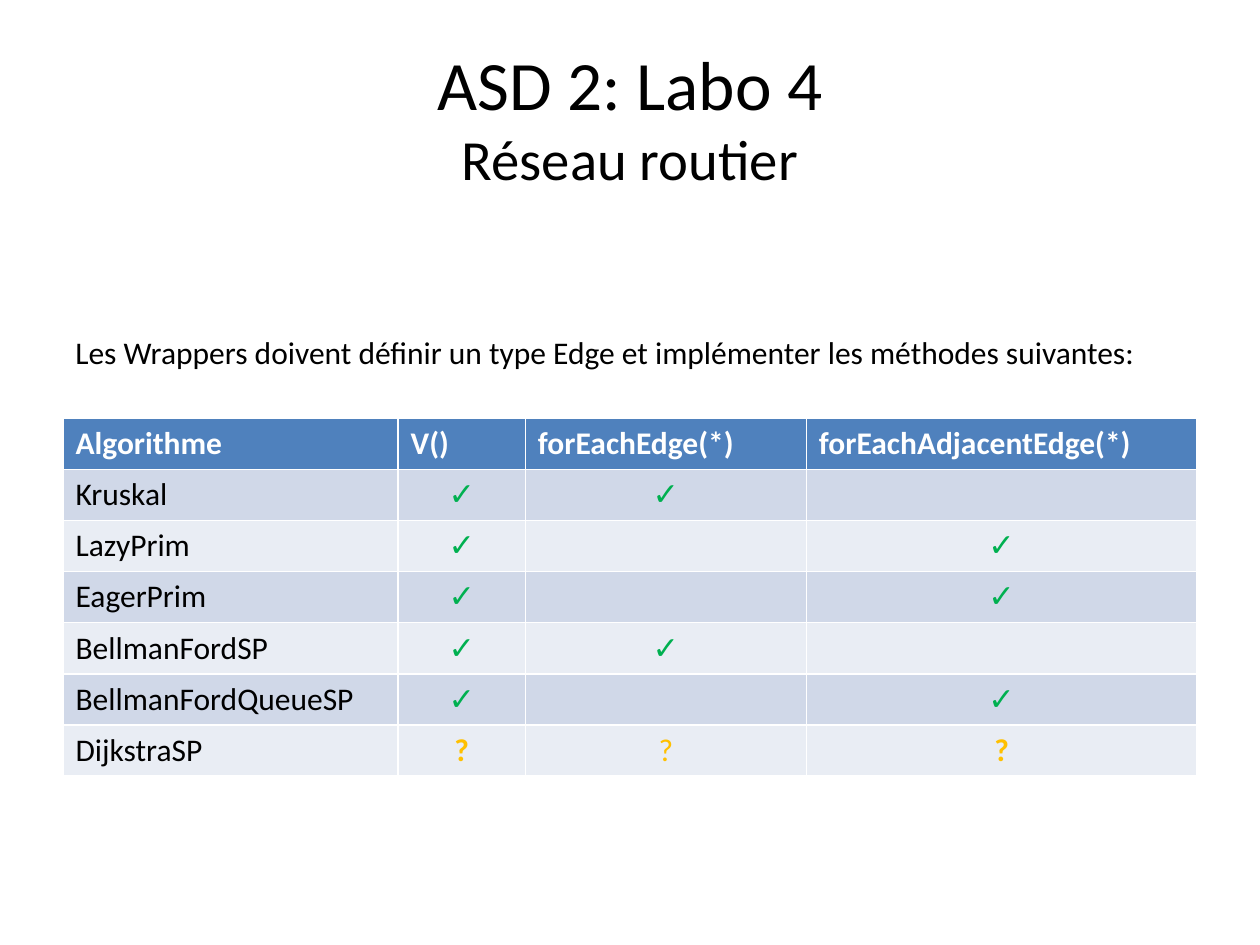
import pptx
import pptx.util
import pptx.dml.color
import pptx.enum.text

Inches = pptx.util.Inches
RGBColor = pptx.dml.color.RGBColor
PP_ALIGN = pptx.enum.text.PP_ALIGN
MSO_ANCHOR = pptx.enum.text.MSO_ANCHOR

BLACK = RGBColor(0x00, 0x00, 0x00)
WHITE = RGBColor(0xFF, 0xFF, 0xFF)
HEADER_BLUE = RGBColor(0x4F, 0x81, 0xBD)
BAND_DARK = RGBColor(0xD0, 0xD8, 0xE8)
BAND_LIGHT = RGBColor(0xE9, 0xED, 0xF4)
GREEN = RGBColor(0x00, 0xB0, 0x50)
AMBER = RGBColor(0xFF, 0xC0, 0x00)


def add_text(p, text, size=18, color=BLACK, bold=False, align=PP_ALIGN.LEFT):
    p.alignment = align
    r = p.add_run()
    r.text = text
    r.font.name = "Calibri"
    r.font.size = pptx.util.Pt(size)
    r.font.bold = bold
    r.font.color.rgb = color


prs = pptx.Presentation()
prs.slide_width, prs.slide_height = Inches(10), Inches(7.5)
s = prs.slides.add_slide(prs.slide_layouts[5])

# Title
title = s.shapes.title
title.left, title.top = Inches(0.5), Inches(0.3)
title.width, title.height = Inches(9), Inches(1.25)
tf = title.text_frame
tf.auto_size = pptx.enum.text.MSO_AUTO_SIZE.NONE
tf.vertical_anchor = MSO_ANCHOR.MIDDLE
p = tf.paragraphs[0]
add_text(p, "ASD 2: Labo 4", size=39.6, align=PP_ALIGN.CENTER)
p.add_line_break()
add_text(p, "Réseau routier", size=32.4, align=PP_ALIGN.CENTER)

# Table of required methods; the default style draws the white borders
header = ["Algorithme", "V()", "forEachEdge(*)", "forEachAdjacentEdge(*)"]
algorithms = [
    ("Kruskal", "✓", "✓", ""),
    ("LazyPrim", "✓", "", "✓"),
    ("EagerPrim", "✓", "", "✓"),
    ("BellmanFordSP", "✓", "✓", ""),
    ("BellmanFordQueueSP", "✓", "", "✓"),
    ("DijkstraSP", "?", "?", "?"),
]
rows = [header] + algorithms
table = s.shapes.add_table(len(rows), len(header), Inches(0.5), Inches(3.32),
                           Inches(9), Inches(2.84)).table
for column, width in zip(table.columns, [2.66, 1.01, 2.23, 3.1]):
    column.width = Inches(width)

for i, row in enumerate(rows):
    for j, text in enumerate(row):
        cell = table.cell(i, j)
        cell.fill.solid()
        if i == 0:
            cell.fill.fore_color.rgb = HEADER_BLUE
        else:
            cell.fill.fore_color.rgb = BAND_DARK if i % 2 else BAND_LIGHT
        p = cell.text_frame.paragraphs[0]
        if not text:
            continue
        if i == 0:
            add_text(p, text, color=WHITE, bold=True)
        elif j == 0:
            add_text(p, text)
        else:
            add_text(p, text, color=GREEN if text == "✓" else AMBER,
                     bold=(text, j) != ("?", 2), align=PP_ALIGN.CENTER)

# Introductory sentence
sp = s.shapes.add_textbox(Inches(0.5), Inches(2.59), Inches(9), Inches(0.4))
tf = sp.text_frame
tf.word_wrap = True
add_text(tf.paragraphs[0],
         "Les Wrappers doivent définir un type Edge et implémenter "
         "les méthodes suivantes:")

prs.save("out.pptx")
